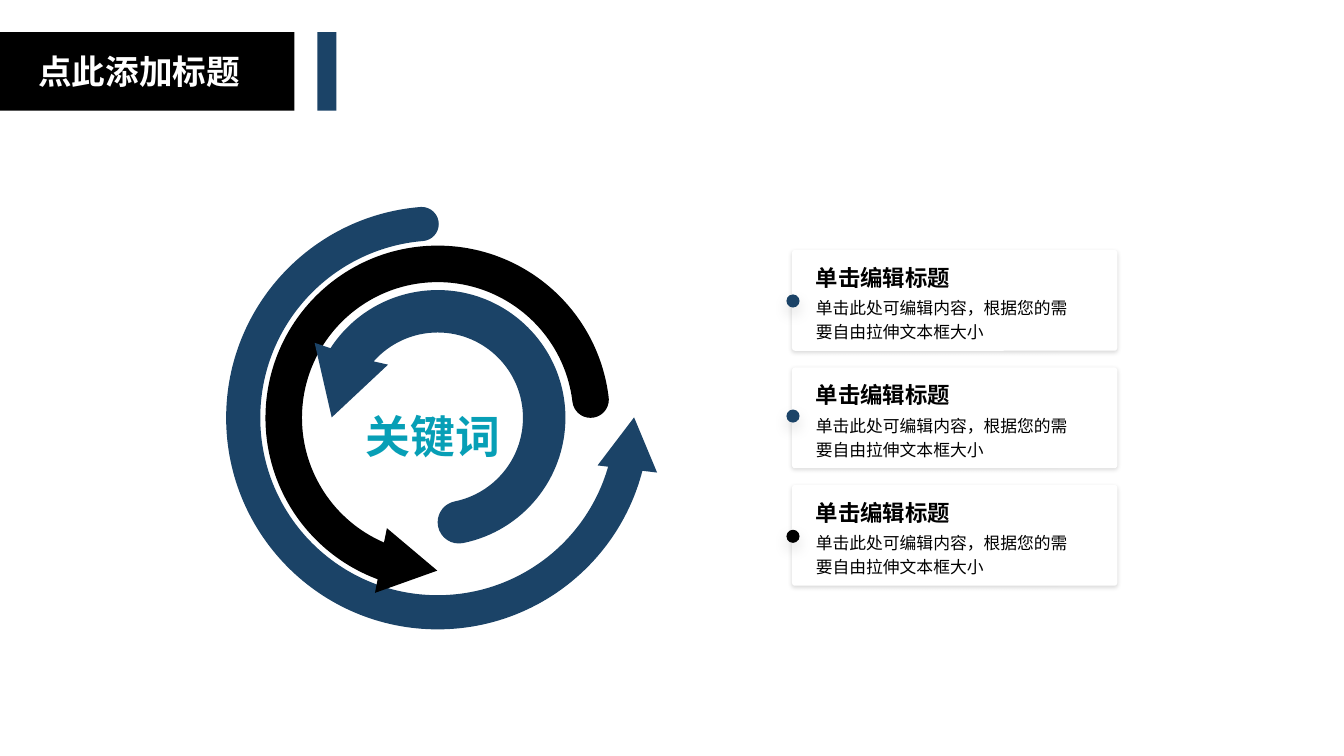
import math
from dataclasses import dataclass

import pptx
import pptx.dml.color
import pptx.enum.shapes
import pptx.enum.text
import pptx.oxml
import pptx.oxml.ns
import pptx.util

Cm = pptx.util.Cm
Pt = pptx.util.Pt
Kind = pptx.enum.shapes.MSO_SHAPE
Align = pptx.enum.text.PP_ALIGN

HUES = {"navy": "1B4367", "black": "000000", "white": "FFFFFF", "teal": "079FB6"}
MID_X, MID_Y = 11.03, 10.53  # shared centre of the rings, in cm
Spot = tuple[float, float]
Step = list[Spot]  # one spot is a line, three are a cubic curve


@dataclass
class Ring:
    """Ring arrow: radii and head corners in cm, angles clockwise from east."""
    outer: float
    inner: float
    start: float
    out_end: float
    in_end: float
    head: list[Spot]
    hue: str


@dataclass
class Glow:
    """Drop shadow cast straight down."""
    blur: float
    drop: float
    alpha: int


@dataclass
class Card:
    dot_y: float
    hue: str
    head: str = "单击编辑标题"
    body: str = "单击此处可编辑内容，根据您的需要自由拉伸文本框大小"


RINGS = [
    Ring(5.33, 4.47, 265.3, 14.5, 16,
         [(16.56, 11.91), (15.98, 10.52), (15.06, 11.73)], "navy"),
    Ring(4.34, 3.42, -6.8, -249.6, -246.7,
         [(9.45, 14.94), (11.02, 14.38), (9.75, 13.31)], "black"),
    Ring(3.22, 2.15, 78.5, -147, -138.6,
         [(7.93, 8.64), (8.36, 10.52), (9.78, 9.19)], "navy"),
]
CARDS = [Card(7.42, "navy"), Card(10.32, "navy"), Card(13.35, "black")]
CARD_TOP, CARD_STEP = 6.3, 2.96
CARD_GLOW, DOT_GLOW = Glow(3, 1, 15), Glow(10, 5, 12)


def tint(hue: str) -> pptx.dml.color.RGBColor:
    return pptx.dml.color.RGBColor.from_string(HUES[hue])


def paint(shape, hue: str, glow: Glow | None = None) -> None:
    shape.fill.solid()
    shape.fill.fore_color.rgb = tint(hue)
    shape.line.fill.background()
    shape.shadow.inherit = False
    if glow:
        effects = shape.element.spPr.find(pptx.oxml.ns.qn("a:effectLst"))
        effects.append(pptx.oxml.parse_xml(
            f'<a:outerShdw {pptx.oxml.ns.nsdecls("a")} blurRad="{Pt(glow.blur)}" '
            f'dist="{Pt(glow.drop)}" dir="5400000" algn="t" rotWithShape="0">'
            f'<a:srgbClr val="{HUES["black"]}"><a:alpha val="{glow.alpha * 1000}"/>'
            '</a:srgbClr></a:outerShdw>'))


def block(slide, kind, x: float, y: float, w: float, h: float,
          hue: str, glow: Glow | None = None):
    shape = slide.shapes.add_shape(kind, Cm(x), Cm(y), Cm(w), Cm(h))
    paint(shape, hue, glow)
    return shape


def style(para, size: float, hue: str, bold: bool, face: str = "Arial") -> None:
    para.font.size, para.font.bold, para.font.name = Pt(size), bold, face
    para.font.color.rgb = tint(hue)


def label(slide, text: str, x: float, y: float, w: float, h: float, size: float,
          hue: str = "black", bold: bool = True, align=Align.LEFT) -> None:
    frame = slide.shapes.add_textbox(Cm(x), Cm(y), Cm(w), Cm(h)).text_frame
    frame.word_wrap = True
    frame.auto_size = pptx.enum.text.MSO_AUTO_SIZE.SHAPE_TO_FIT_TEXT
    frame.margin_left = frame.margin_right = frame.margin_top = frame.margin_bottom = 0
    para = frame.paragraphs[0]
    para.text, para.alignment, para.line_spacing = text, align, 1.2
    style(para, size, hue, bold)


def polar(x: float, y: float, size: float, angle: float) -> Spot:
    turn = math.radians(angle)
    return x + size * math.cos(turn), y + size * math.sin(turn)


def arc(x: float, y: float, size: float, start: float, end: float) -> list[Step]:
    """Cubic curves along a circle, split where it crosses an axis."""
    cuts = [a for a in range(-360, 361, 90) if min(start, end) < a < max(start, end)]
    marks = [start, *sorted(cuts, reverse=end < start), end]
    steps = []
    for a, b in zip(marks, marks[1:]):
        pull = math.atan(4 / 3 * math.tan(math.radians(b - a) / 4))
        reach, lean = size / math.cos(pull), math.degrees(pull)
        steps.append([polar(x, y, reach, a + lean), polar(x, y, reach, b - lean),
                      polar(x, y, size, b)])
    return steps


def draw_curve(slide, first: Spot, steps: list[Step], hue: str) -> None:
    pen = slide.shapes.build_freeform(Cm(first[0]), Cm(first[1]))
    pen.add_line_segments([(Cm(s[-1][0]), Cm(s[-1][1])) for s in steps], close=True)
    shape = pen.convert_to_shape()
    lines = list(shape.element.iter(pptx.oxml.ns.qn("a:lnTo")))
    for line, step in zip(lines, steps):
        if len(step) == 3:
            spots = "".join(f'<a:pt x="{Cm(x) - shape.left}" y="{Cm(y) - shape.top}"/>'
                            for x, y in step)
            line.getparent().replace(line, pptx.oxml.parse_xml(
                f'<a:cubicBezTo {pptx.oxml.ns.nsdecls("a")}>{spots}</a:cubicBezTo>'))
    paint(shape, hue)


def draw_ring(slide, ring: Ring) -> None:
    half = (ring.outer - ring.inner) / 2
    cap = polar(MID_X, MID_Y, ring.inner + half, ring.start)
    in_base = polar(MID_X, MID_Y, ring.inner, ring.in_end)
    steps = (arc(MID_X, MID_Y, ring.outer, ring.start, ring.out_end)
             + [[spot] for spot in [*ring.head, in_base]]
             + arc(MID_X, MID_Y, ring.inner, ring.in_end, ring.start)
             + arc(*cap, half, ring.start - 180, ring.start - 360))
    draw_curve(slide, polar(MID_X, MID_Y, ring.outer, ring.start), steps, ring.hue)


def draw_card(slide, card: Card, top: float) -> None:
    panel = block(slide, Kind.ROUNDED_RECTANGLE, 19.96, top, 8.2, 2.54,
                  "white", CARD_GLOW)
    panel.adjustments[0] = 0.03
    block(slide, Kind.OVAL, 19.82, card.dot_y, 0.33, 0.33, card.hue, DOT_GLOW)
    label(slide, card.head, 20.56, top + 0.22, 3.6, 0.81, 16)
    label(slide, card.body, 20.56, top + 1.11, 6.48, 1.22, 12, bold=False)


def draw_title(slide, text: str) -> None:
    block(slide, Kind.RECTANGLE, 0, 0.81, 7.42, 1.98, "black")
    block(slide, Kind.RECTANGLE, 8, 0.81, 0.48, 1.98, "navy")
    title = slide.shapes.title
    title.left, title.top, title.width, title.height = Cm(0), Cm(1.15), Cm(7.01), Cm(1.27)
    title.element.getparent().append(title.element)  # in front of the bar
    frame = title.text_frame
    frame.text, frame.word_wrap = text, True
    frame.vertical_anchor = pptx.enum.text.MSO_ANCHOR.MIDDLE
    para = frame.paragraphs[0]
    para.alignment = Align.CENTER
    style(para, 24, "white", True, "Noto Sans CJK SC")


def main() -> None:
    deck = pptx.Presentation()
    deck.slide_width, deck.slide_height = Cm(33.87), Cm(19.05)
    slide = deck.slides.add_slide(deck.slide_layouts[5])

    # Spiral of arrows
    for ring in RINGS:
        draw_ring(slide, ring)

    # Cards on the right
    for i, card in enumerate(CARDS):
        draw_card(slide, card, CARD_TOP + i * CARD_STEP)

    # Keyword inside the spiral
    label(slide, "关键词", 9.01, 10.02, 3.81, 1.5, 32, "teal", align=Align.CENTER)

    # Heading bar
    draw_title(slide, "点此添加标题")
    deck.save("out.pptx")


if __name__ == "__main__":
    main()
